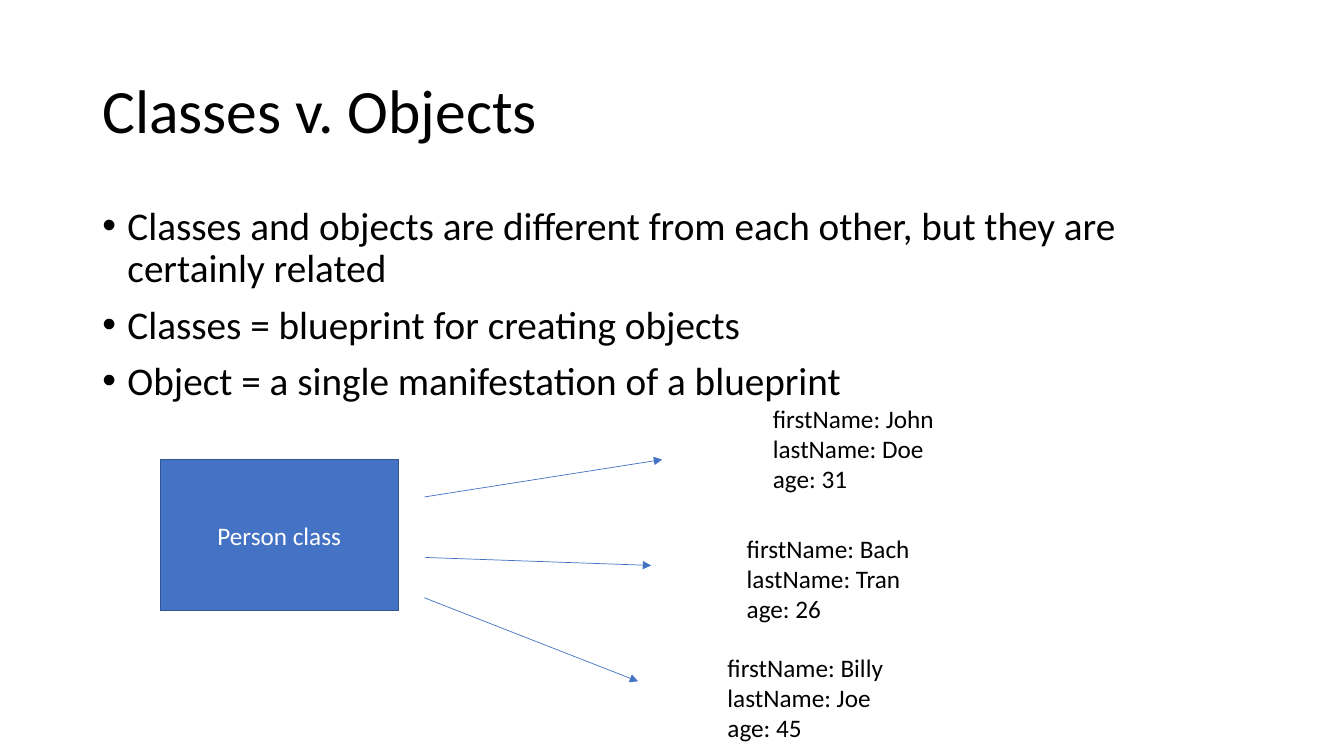
from collections import namedtuple
from dataclasses import dataclass

from lxml import etree
from pptx import Presentation
from pptx.dml.color import RGBColor
from pptx.enum.shapes import MSO_CONNECTOR as Connector, MSO_SHAPE as Preset
from pptx.enum.text import MSO_ANCHOR as Anchor, PP_ALIGN as Align
from pptx.oxml.ns import qn
from pptx.util import Pt

Box = namedtuple("Box", "left top width height")
Instance = namedtuple("Instance", "start end note lines")


@dataclass(frozen=True)
class Theme:
    font: str = "Calibri"
    ink: RGBColor = RGBColor(0, 0, 0)
    paper: RGBColor = RGBColor(255, 255, 255)
    accent: RGBColor = RGBColor(0x44, 0x72, 0xC4)
    outline: RGBColor = RGBColor(0x32, 0x54, 0x91)
    title_size: int = 44
    body_size: int = 28
    label_size: int = 18


THEME = Theme()

BULLETS = (
    "Classes and objects are different from each other, but they are certainly related",
    "Classes = blueprint for creating objects",
    "Object = a single manifestation of a blueprint",
)

# Places are relative to the top left corner of the diagram.
PERSON_CLASS = Box(0, 43.9, 170, 108)
INSTANCES = (
    Instance((188.6, 70.6), (358.5, 43.9), Box(430.5, 0, 131, 72.7),
             ("firstName: John", "lastName: Doe", "age: 31")),
    Instance((189.3, 113.8), (350.6, 119.5), Box(411.8, 92.9, 132.5, 72.7),
             ("firstName: Bach", "lastName: Tran", "age: 26")),
    Instance((188.6, 142.6), (341.3, 202.3), Box(398.1, 177.8, 126.7, 72.7),
             ("firstName: Billy", "lastName: Joe", "age: 45")),
)


def points(values):
    return [Pt(value) for value in values]


def inside(outer, inner):
    """Turn a box relative to outer into one relative to the slide."""
    return inner._replace(left=outer.left + inner.left, top=outer.top + inner.top)


def add_run(paragraph, text, size, color):
    run = paragraph.add_run()
    run.text = text
    run.font.name = THEME.font
    run.font.size = Pt(size)
    run.font.color.rgb = color


def write_lines(frame, lines, size):
    """Write one paragraph per line and return the paragraphs."""
    for index, line in enumerate(lines):
        paragraph = frame.add_paragraph() if index else frame.paragraphs[0]
        add_run(paragraph, line, size, THEME.ink)
    return frame.paragraphs


def set_bullet(paragraph):
    properties = paragraph._p.get_or_add_pPr()
    properties.set("marL", str(Pt(18)))
    properties.set("indent", str(Pt(-18)))
    etree.SubElement(properties, qn("a:buFont"), typeface="Arial")
    etree.SubElement(properties, qn("a:buChar"), char="•")


def add_title(slide, box):
    frame = slide.shapes.add_textbox(*points(box)).text_frame
    frame.word_wrap = True
    frame.vertical_anchor = Anchor.MIDDLE
    paragraph, = write_lines(frame, ["Classes v. Objects"], THEME.title_size)
    paragraph.line_spacing = 0.9


def add_bullets(slide, box):
    frame = slide.shapes.add_textbox(*points(box)).text_frame
    frame.word_wrap = True
    for index, paragraph in enumerate(write_lines(frame, BULLETS, THEME.body_size)):
        set_bullet(paragraph)
        paragraph.line_spacing = 0.9
        if index:
            paragraph.space_before = Pt(10)


def add_class_box(slide, box):
    shape = slide.shapes.add_shape(Preset.RECTANGLE, *points(box))
    shape.shadow.inherit = False
    shape.fill.solid()
    shape.fill.fore_color.rgb = THEME.accent
    shape.line.color.rgb = THEME.outline
    shape.line.width = Pt(1)
    shape.text_frame.vertical_anchor = Anchor.MIDDLE
    paragraph = shape.text_frame.paragraphs[0]
    paragraph.alignment = Align.CENTER
    add_run(paragraph, "Person class", THEME.label_size, THEME.paper)


def add_arrow(slide, box, start, end):
    ends = [offset + origin for point in (start, end)
            for offset, origin in zip(point, (box.left, box.top))]
    arrow = slide.shapes.add_connector(Connector.STRAIGHT, *points(ends))
    arrow.line.color.rgb = THEME.accent
    arrow.line.width = Pt(0.5)
    etree.SubElement(arrow.line._get_or_add_ln(), qn("a:tailEnd"), type="triangle")
    etree.SubElement(arrow._element.spPr, qn("a:effectLst"))


def add_note(slide, box, lines):
    frame = slide.shapes.add_textbox(*points(box)).text_frame
    frame.word_wrap = False
    write_lines(frame, lines, THEME.label_size)


def add_diagram(slide, box):
    add_class_box(slide, inside(box, PERSON_CLASS))
    for instance in INSTANCES:
        add_arrow(slide, box, instance.start, instance.end)
        add_note(slide, inside(box, instance.note), instance.lines)


def main():
    presentation = Presentation()
    presentation.slide_width, presentation.slide_height = Pt(960), Pt(540)
    slide = presentation.slides.add_slide(presentation.slide_layouts[6])
    slide.background.fill.solid()
    slide.background.fill.fore_color.rgb = THEME.paper
    add_title(slide, Box(66, 28.8, 828, 104.4))
    add_bullets(slide, Box(66, 144, 828, 342.7))
    add_diagram(slide, Box(114.5, 284.4, 561.5, 250.5))
    presentation.save("out.pptx")


if __name__ == "__main__":
    main()
